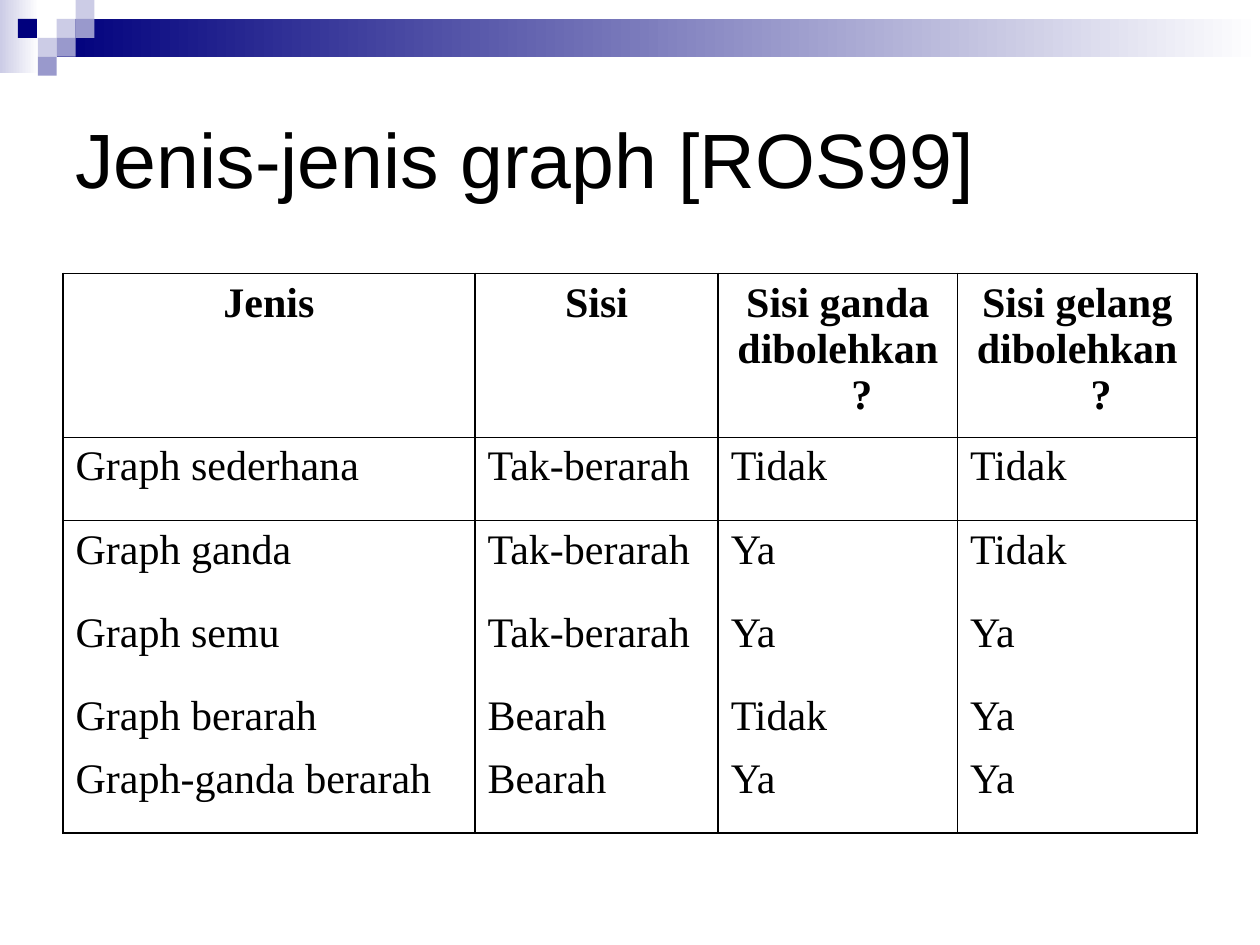
"""Build a slide with a table of graph types under a gradient header band."""
from lxml.etree import SubElement
from pptx import Presentation
from pptx.dml.color import RGBColor
from pptx.enum.shapes import MSO_SHAPE
from pptx.enum.text import MSO_ANCHOR, PP_ALIGN
from pptx.oxml.ns import qn
from pptx.util import Inches, Pt

BLACK = RGBColor(0x00, 0x00, 0x00)
WHITE = RGBColor(0xFF, 0xFF, 0xFF)
NAVY = RGBColor(0x00, 0x00, 0x7D)
LAVENDER = RGBColor(0xCC, 0xCC, 0xE6)
PERIWINKLE = RGBColor(0x99, 0x99, 0xCC)

TITLE = "Jenis-jenis graph [ROS99]"
ROWS = [
    ("Jenis", "Sisi", "Sisi ganda\ndibolehkan?", "Sisi gelang\ndibolehkan?"),
    ("Graph sederhana", "Tak-berarah", "Tidak", "Tidak"),
    ("Graph ganda", "Tak-berarah", "Ya", "Tidak"),
    ("Graph semu", "Tak-berarah", "Ya", "Ya"),
    ("Graph berarah", "Bearah", "Tidak", "Ya"),
    ("Graph-ganda berarah", "Bearah", "Ya", "Ya"),
]
COLUMN_WIDTHS = [3.27, 1.93, 1.9, 1.9]
ROW_HEIGHTS = [1.21, 0.66, 0.66, 0.66, 0.47, 0.66]
BANDS = [((0, 0, 0.31, 0.58), LAVENDER), ((0.45, 0.15, 9.55, 0.3), NAVY)]
TILE = 0.15
TILES = [
    (3, 1, LAVENDER), (4, 0, LAVENDER), (4, 1, PERIWINKLE), (2, 2, LAVENDER),
    (0.95, 1, NAVY), (3, 2, PERIWINKLE), (2, 3, PERIWINKLE),
]
INDENT = Inches(0.38)
NO_STYLE = "{2D5ABB26-0587-4C30-8999-92F81FD0307C}"


def add_block(slide, box, color, fades=False):
    block = slide.shapes.add_shape(MSO_SHAPE.RECTANGLE, *map(Inches, box))
    block.shadow.inherit = False
    block.line.fill.background()
    if fades:
        block.fill.gradient()
        block.fill.gradient_angle = 0
        for stop, shade in zip(block.fill.gradient_stops, (color, WHITE)):
            stop.color.rgb = shade
    else:
        block.fill.solid()
        block.fill.fore_color.rgb = color


def add_title(slide):
    title = slide.shapes.add_textbox(*map(Inches, (0.5, 0.5, 9, 1.5)))
    frame = title.text_frame
    frame.word_wrap = True
    frame.vertical_anchor = MSO_ANCHOR.MIDDLE
    frame.text = TITLE
    font = frame.paragraphs[0].runs[0].font
    font.name, font.size, font.color.rgb = "Arial", Pt(44), BLACK


def set_borders(cell, sides):
    properties = cell._tc.get_or_add_tcPr()
    for side in sides:
        border = SubElement(properties, qn(f"a:ln{side}"), w=str(Pt(1)))
        fill = SubElement(border, qn("a:solidFill"))
        SubElement(fill, qn("a:srgbClr"), val=str(BLACK))


def fill_cell(cell, text, is_header):
    cell.text_frame.text = text
    for paragraph in cell.text_frame.paragraphs:
        paragraph.alignment = PP_ALIGN.CENTER if is_header else PP_ALIGN.JUSTIFY
        properties = paragraph._p.get_or_add_pPr()
        properties.set("marL", str(INDENT))
        properties.set("indent", str(-INDENT))
        font = paragraph.runs[0].font
        font.name, font.size, font.bold = "Times New Roman", Pt(24), is_header
        font.color.rgb = BLACK


def add_graph_table(slide):
    table = slide.shapes.add_table(
        len(ROWS), len(COLUMN_WIDTHS), Inches(0.5), Inches(2.17),
        Inches(sum(COLUMN_WIDTHS)), Inches(sum(ROW_HEIGHTS)),
    ).table
    table.first_row = table.horz_banding = False
    table._tbl.tblPr.find(qn("a:tableStyleId")).text = NO_STYLE
    for column, width in zip(table.columns, COLUMN_WIDTHS):
        column.width = Inches(width)
    for index, (row, height, texts) in enumerate(zip(table.rows, ROW_HEIGHTS, ROWS)):
        row.height = Inches(height)
        sides = ["L", "R"]
        if index <= 1:
            sides.append("T")
        if index in (0, len(ROWS) - 1):
            sides.append("B")
        for cell, text in zip(row.cells, texts):
            fill_cell(cell, text, index == 0)
            set_borders(cell, sides)
            cell.fill.background()


def main():
    deck = Presentation()
    deck.slide_width, deck.slide_height = Inches(10), Inches(7.5)
    slide = deck.slides.add_slide(deck.slide_layouts[6])
    for box, color in BANDS:
        add_block(slide, box, color, fades=True)
    for column, row, color in TILES:
        add_block(slide, (column * TILE, row * TILE, TILE, TILE), color)
    add_title(slide)
    add_graph_table(slide)
    deck.save("out.pptx")


if __name__ == "__main__":
    main()
